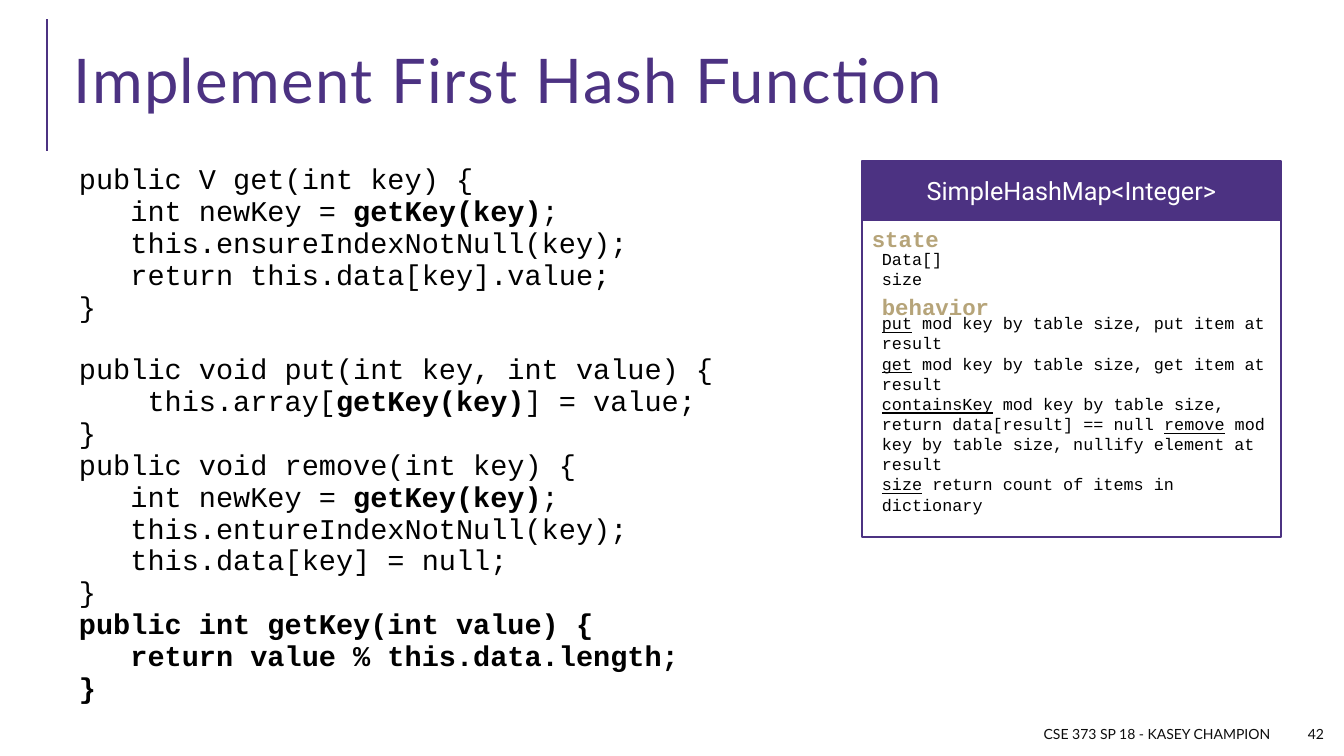
"""Build the slide on a first hash function: code left, class card right."""
import pptx
import pptx.util
import pptx.dml.color
import pptx.enum.shapes
import pptx.enum.text
import lxml.etree

PURPLE, GOLD, BLACK, GREY, WHITE = "4C3282", "B6A479", "000000", "0D0D0D", "FFFFFF"
MONO, SANS, HEAD = "Courier New", "Lato", "Roboto"

TITLE = "Implement First Hash Function"
CODE = [
    [
        (0, "public V get(int key) {"),
        (3, "int newKey = *getKey(key)*;"),
        (3, "this.ensureIndexNotNull(key);"),
        (3, "return this.data[key].value;"),
        (0, "}"),
    ],
    [
        (0, "public void put(int key, int value) {"),
        (4, "this.array[*getKey(key)*] = value;"),
        (0, "}"),
        (0, "public void remove(int key) {"),
        (3, "int newKey = *getKey(key)*;"),
        (3, "this.entureIndexNotNull(key);"),
        (3, "this.data[key] = null;"),
        (0, "}"),
        (0, "*public int getKey(int value) {*"),
        (3, "*return value % this.data.length;*"),
        (0, "*}*"),
    ],
]
CARD = "SimpleHashMap<Integer>"
FIELDS = ["Data[]", "size"]
METHODS = [
    "*put* mod key by table size, put item at result",
    "*get* mod key by table size, get item at result",
    "*containsKey* mod key by table size, return data[result] == null "
    "*remove* mod key by table size, nullify element at result",
    "*size* return count of items in dictionary",
]
FOOTER, NUMBER = "CSE 373 SP 18 - KASEY CHAMPION", "42"

LEFT, TOP, WIDE, BAR = 862, 161, 419, 59
BODY = TOP + BAR
INNER = LEFT + 10
CODE_SIZE, CODE_GAP, CODE_LINE, CHAR = 20.4, 21.6, 0.85, 17.14
ALIGN = pptx.enum.text.PP_ALIGN
MIDDLE = pptx.enum.text.MSO_ANCHOR.MIDDLE


def px(num):
    return pptx.util.Emu(round(num * 914400 / 100.8))


def tint(code):
    return pptx.dml.color.RGBColor.from_string(code)


def write(frame, lines, size, face, color, align=ALIGN.LEFT, mark="bold"):
    """Fill a frame; parts between asterisks get the mark."""
    frame.word_wrap = True
    for i, line in enumerate(lines):
        para = frame.paragraphs[0] if i == 0 else frame.add_paragraph()
        para.alignment = align
        para.font.size = pptx.util.Pt(size)
        para.font.name = face
        para.font.color.rgb = tint(color)
        for j, part in enumerate(line.split("*")):
            if part:
                run = para.add_run()
                run.text = part
                if j % 2:
                    setattr(run.font, mark, True)
    return frame


def label(box, lines, *style, **more):
    frame = slide.shapes.add_textbox(*map(px, box)).text_frame
    return write(frame, lines, *style, **more)


def block(box, fill):
    shape = slide.shapes.add_shape(
        pptx.enum.shapes.MSO_SHAPE.RECTANGLE, *map(px, box))
    shape.shadow.inherit = False
    shape.fill.solid()
    shape.fill.fore_color.rgb = tint(fill)
    shape.line.color.rgb = tint(PURPLE)
    shape.line.width = pptx.util.Pt(1.25)
    return shape


deck = pptx.Presentation()
deck.slide_width, deck.slide_height = px(1344), px(756)
slide = deck.slides.add_slide(deck.slide_layouts[6])

rule = slide.shapes.add_connector(
    pptx.enum.shapes.MSO_CONNECTOR.STRAIGHT, *map(px, (47, 151, 47, 19)))
rule.line.color.rgb = tint(PURPLE)
rule.line.width = pptx.util.Pt(1.5)
lxml.etree.SubElement(
    rule._element.spPr,
    "{http://schemas.openxmlformats.org/drawingml/2006/main}effectLst")

title = label((64, 29, 1233, 112), [TITLE], 44, SANS, PURPLE)
title.vertical_anchor = MIDDLE
title.paragraphs[0].line_spacing = CODE_LINE
title.paragraphs[0].runs[0]._r.get_or_add_rPr().set("spc", "100")

rows = [row for part in CODE for row in part]
code = label((64, TOP, 1233, 534), [text for _, text in rows],
             CODE_SIZE, MONO, BLACK)
code.margin_left = px(15)
code.margin_right = code.margin_top = code.margin_bottom = px(5)
for para, (depth, _) in zip(code.paragraphs, rows):
    para.line_spacing = CODE_LINE
    para.space_after = pptx.util.Pt(2)
    para._p.get_or_add_pPr().set("marL", str(px(depth * CHAR)))
code.paragraphs[len(CODE[0])].space_before = pptx.util.Pt(CODE_GAP)

block((LEFT, BODY, WIDE, 317), WHITE)
head = block((LEFT, TOP, WIDE, BAR), PURPLE).text_frame
head.vertical_anchor = MIDDLE
write(head, [CARD], 18, HEAD, WHITE, ALIGN.CENTER)

label((INNER, 308, 409, 214), METHODS, 12, MONO, BLACK, mark="underline")
label((LEFT, BODY, 225, 37), ["*state*"], 16, MONO, GOLD)
label((INNER, 288, 225, 37), ["*behavior*"], 16, MONO, GOLD)
label((INNER, 244, 225, 50), FIELDS, 12, MONO, BLACK)

for left, wide, text in [(1288, 46, NUMBER), (630, 650, FOOTER)]:
    note = label((left, 719, wide, 30), [text], 10, SANS, GREY, ALIGN.RIGHT)
    note.vertical_anchor = MIDDLE

deck.save("out.pptx")
